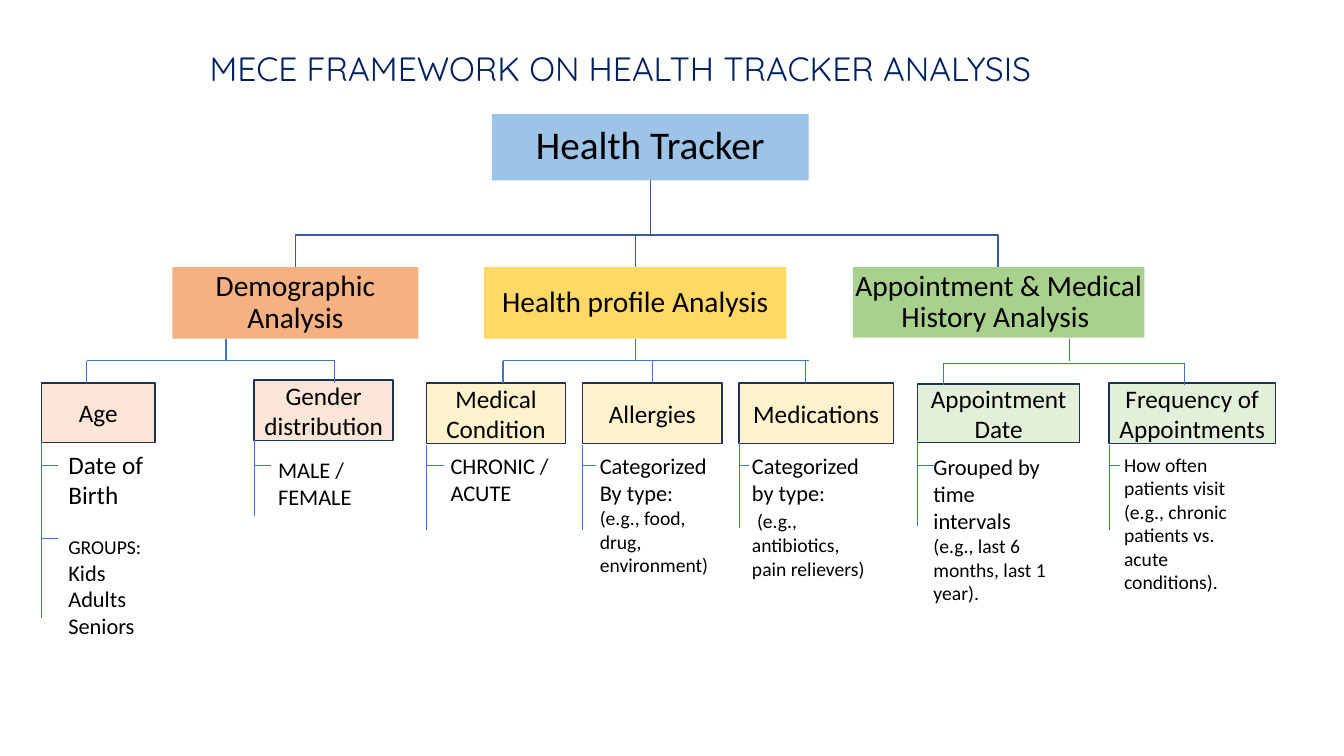
"""Build a MECE tree slide for a health tracker analysis."""
import pptx
import pptx.dml.color
import pptx.enum.shapes
import pptx.enum.text
import pptx.oxml
import pptx.oxml.ns
import pptx.util

Inches = pptx.util.Inches
RGBColor = pptx.dml.color.RGBColor
PP_ALIGN = pptx.enum.text.PP_ALIGN
MSO_ANCHOR = pptx.enum.text.MSO_ANCHOR

NAVY = RGBColor(0x00, 0x20, 0x60)
BLACK = RGBColor(0x00, 0x00, 0x00)
TREE_BLUE = RGBColor(0x36, 0x5B, 0x9D)
LINE_BLUE = RGBColor(0x44, 0x72, 0xC4)
BORDER = RGBColor(0x1E, 0x32, 0x56)
SKY = RGBColor(0x9D, 0xC3, 0xE6)
ORANGE = RGBColor(0xF4, 0xB1, 0x83)
YELLOW = RGBColor(0xFF, 0xD9, 0x66)
GREEN = RGBColor(0xA9, 0xD1, 0x8E)
PALE_ORANGE = RGBColor(0xFB, 0xE5, 0xD6)
PALE_YELLOW = RGBColor(0xFF, 0xF2, 0xCC)
PALE_GREEN = RGBColor(0xE2, 0xF0, 0xD9)

prs = pptx.Presentation()
prs.slide_width, prs.slide_height = Inches(13.33), Inches(7.5)
s = prs.slides.add_slide(prs.slide_layouts[6])


def add_text(paragraphs, at, fill=None, line=None, font="Calibri", color=BLACK,
             inset=None, spacing=None):
    """Add paragraphs of (text, size) runs, in a rectangle if fill is given."""
    box = [Inches(v) for v in at]
    if fill is None:
        sp = s.shapes.add_textbox(*box)
    else:
        sp = s.shapes.add_shape(pptx.enum.shapes.MSO_SHAPE.RECTANGLE, *box)
        sp.shadow.inherit = False
        sp.fill.solid()
        sp.fill.fore_color.rgb = fill
        if line is None:
            sp.line.fill.background()
        else:
            sp.line.color.rgb = line
            sp.line.width = pptx.util.Pt(1)
    tf = sp.text_frame
    tf.word_wrap = True
    tf.vertical_anchor = MSO_ANCHOR.TOP if fill is None else MSO_ANCHOR.MIDDLE
    if inset is not None:
        tf.margin_left = tf.margin_right = Inches(inset)
        tf.margin_top = tf.margin_bottom = Inches(inset)
    for i, runs in enumerate(paragraphs):
        p = tf.add_paragraph() if i else tf.paragraphs[0]
        p.alignment = PP_ALIGN.LEFT if fill is None else PP_ALIGN.CENTER
        if spacing:
            p.line_spacing = spacing
        for text, size in runs:
            r = p.add_run()
            r.text = text
            r.font.size = pptx.util.Pt(size)
            r.font.name = font
            r.font.color.rgb = color
    return sp


def add_line(x1, y1, x2, y2, width=0.5):
    """Add a straight blue connector."""
    c = s.shapes.add_connector(pptx.enum.shapes.MSO_CONNECTOR.STRAIGHT,
                               *[Inches(v) for v in (x1, y1, x2, y2)])
    c.line.color.rgb = LINE_BLUE
    c.line.width = pptx.util.Pt(width)
    pptx.oxml.ns.qn("a:effectLst")
    c._element.spPr.append(pptx.oxml.parse_xml(
        "<a:effectLst %s/>" % pptx.oxml.ns.nsdecls("a")))
    return c


add_text([[("MECE FRAMEWORK ON HEALTH TRACKER ANALYSIS", 24)]],
         (1.98, 0.43, 9.38, 0.91), font="Quicksand", color=NAVY)

root_x, root_bottom, bus_y, branch_y = 6.45, 1.79, 2.33, 2.65
for x in (9.9, 6.3, 2.93):
    fb = s.shapes.build_freeform(Inches(root_x), Inches(root_bottom))
    fb.add_line_segments([(Inches(px), Inches(py)) for px, py in
                          ((root_x, bus_y), (x, bus_y), (x, branch_y))],
                         close=False)
    sp = fb.convert_to_shape()
    sp.shadow.inherit = False
    sp.fill.background()
    sp.line.color.rgb = TREE_BLUE
    sp.line.width = pptx.util.Pt(1)

add_text([[("Health Tracker", 28)]], (4.88, 1.13, 3.14, 0.66),
         fill=SKY, inset=0.02, spacing=0.9)

branches = {}
for name, left, width, height, fill in (
        ("Demographic Analysis", 1.71, 2.44, 0.71, ORANGE),
        ("Health profile Analysis", 4.8, 3, 0.71, YELLOW),
        ("Appointment & Medical History Analysis ", 8.46, 2.89, 0.7, GREEN)):
    branches[name] = add_text([[(name, 21)]], (left, branch_y, width, height),
                              fill=fill, inset=0.01, spacing=0.9)

leaves = {}
for lines, at, fill in (
        (["Age"], (0.41, 3.8, 1.13, 0.59), PALE_ORANGE),
        (["Gender distribution"], (2.52, 3.77, 1.38, 0.6), PALE_ORANGE),
        (["Medical", "Condition"], (4.23, 3.8, 1.38, 0.6), PALE_YELLOW),
        (["Allergies"], (5.78, 3.8, 1.38, 0.6), PALE_YELLOW),
        (["Medications"], (7.33, 3.8, 1.53, 0.6), PALE_YELLOW),
        (["Appointment Date"], (9.1, 3.81, 1.61, 0.58), PALE_GREEN),
        (["Frequency of Appointments"], (11, 3.8, 1.65, 0.6), PALE_GREEN)):
    leaves[lines[0]] = add_text([[(t, 18)] for t in lines], at,
                                fill=fill, line=BORDER)

for stem_x, bar_y, bar_left, bar_right, drops in (
        (2.24, 3.58, 0.86, 3.32, (0.86, 3.32)),
        (6.3, 3.58, 4.99, 8.02, (4.99, 6.47, 7.99)),
        (10.61, 3.6, 9.35, 11.75, (9.36, 11.75))):
    stem = add_line(stem_x, 3.36, stem_x, 3.58, width=1)
    if stem_x == 6.3:
        stem.begin_connect(branches["Health profile Analysis"], 2)
    add_line(bar_left, bar_y, bar_right, bar_y)
    for x in drops:
        drop = add_line(x, bar_y, x, bar_y + 0.22, width=1)
        if x == 6.47:
            drop.end_connect(leaves["Allergies"], 0)

for x, top, bottom, tick in (
        (0.41, 4.39, 6.13, 0.17), (2.52, 4.37, 5.12, 0.17),
        (4.23, 4.41, 5.26, 0.17), (5.78, 4.41, 5.26, 0.13),
        (7.33, 4.39, 5.24, 0.1), (9.1, 4.37, 5.22, 0.16),
        (11, 4.41, 5.26, 0.11)):
    add_line(x, top, x, bottom)
    add_line(x, 4.62, x + tick, 4.62)
add_line(0.41, 5.34, 0.58, 5.34)

for paragraphs, at in (
        ([[("Date of Birth", 18)]], (0.58, 4.41, 0.96, 0.71)),
        ([[("GROUPS:", 14)], [("Kids", 16)], [("Adults", 16)], [("Seniors", 16)]],
         (0.58, 5.26, 0.96, 1.14)),
        ([[("MALE /", 16)], [("FEMALE", 16)]], (2.66, 4.48, 0.96, 0.64)),
        ([[("CHRONIC /", 16)], [("ACUTE", 16)]], (4.37, 4.44, 1.25, 0.64)),
        ([[("Categorized", 16)], [("By type:", 16)],
          [("(e.g., food, drug, environment)", 14)]], (5.85, 4.44, 1.38, 1.35)),
        ([[("Categorized by type:", 16)],
          [(" ", 16), ("(e.g., antibiotics, pain relievers)", 14)]],
         (7.36, 4.44, 1.38, 1.38)),
        ([[("Grouped by time intervals ", 16),
           ("(e.g., last 6 months, last 1 year).", 14)]],
         (9.16, 4.45, 1.38, 1.62)),
        ([[("How often patients visit (e.g., chronic patients vs. acute conditions).",
            14)]], (11.05, 4.44, 1.38, 1.51))):
    add_text(paragraphs, at)

prs.save("out.pptx")
